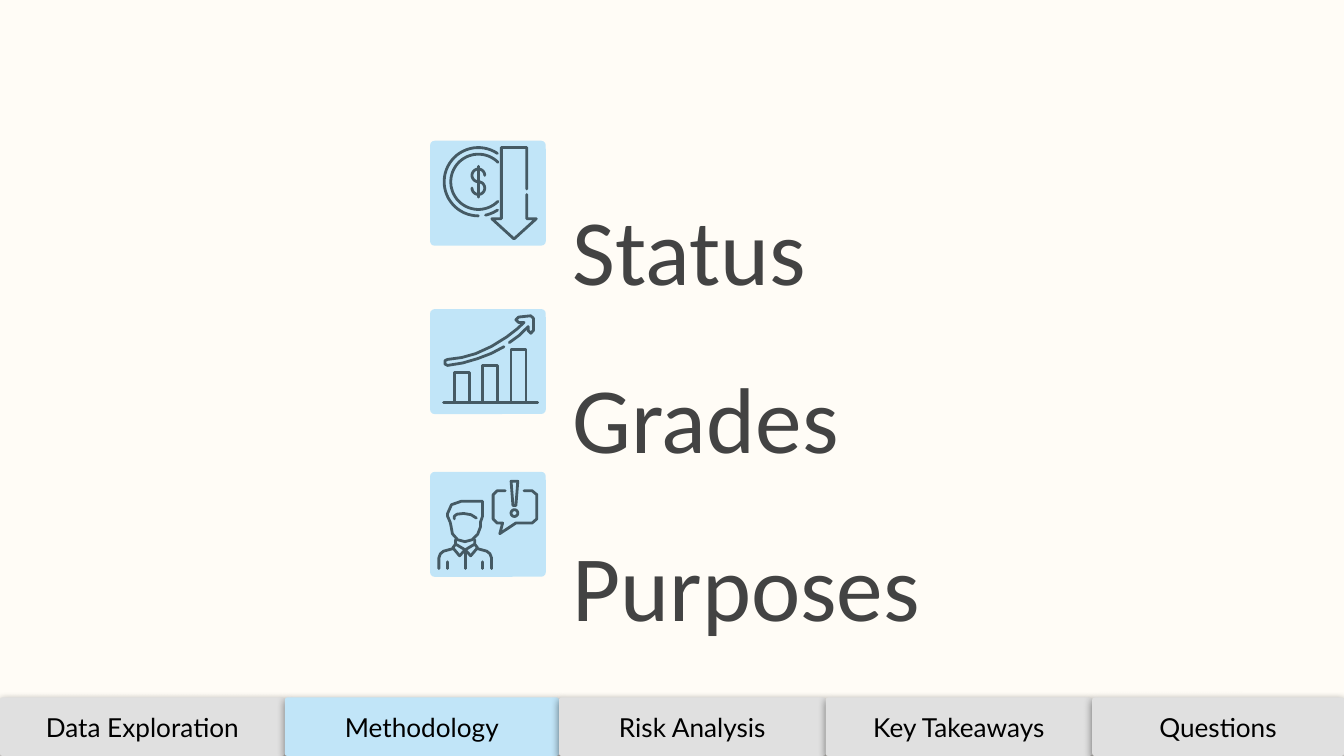
from dataclasses import dataclass
from math import cos, radians, sin

from lxml.etree import SubElement
from pptx import Presentation
from pptx.dml.color import RGBColor
from pptx.enum.shapes import MSO_CONNECTOR as Connector, MSO_SHAPE as Shape
from pptx.enum.text import MSO_ANCHOR as Anchor, MSO_AUTO_SIZE as AutoSize, PP_ALIGN as Align
from pptx.oxml import parse_xml
from pptx.oxml.ns import nsdecls, qn
from pptx.util import Pt

COLORS = {
    "background": "FFFCF6",
    "blue": "C1E5F8",
    "gray": "E0E0E0",
    "ink": "455A64",
    "heading": "434343",
    "label": "000000",
}
SLIDE_WIDTH, SLIDE_HEIGHT = 720, 405
TAB_TOP, TAB_HEIGHT = 373.7, 31.3
TILE_LEFT, TILE_WIDTH, TILE_HEIGHT = 230.4, 62, 56.2
CORNER = 0.043
STROKE_WIDTH = 1.5

Points = list[tuple[float, float]]


@dataclass
class Stroke:
    points: Points
    closed: bool = False


@dataclass
class Icon:
    top: float
    strokes: list[Stroke]


@dataclass
class Tab:
    label: str
    left: float
    fill: str = "gray"


def color(name: str) -> RGBColor:
    return RGBColor.from_string(COLORS[name])


def arc(x: float, y: float, radius: float, start: int, end: int) -> Points:
    """Points along an arc; angles are in degrees, clockwise from the right."""
    steps = max(6, abs(end - start) // 6)
    angles = [radians(start + (end - start) * i / steps) for i in range(steps + 1)]
    return [(x + radius * cos(a), y + radius * sin(a)) for a in angles]


def bar(left: float, top: float) -> Stroke:
    return Stroke([(left, 50), (left, top), (left + 8, top), (left + 8, 50)])


def with_mirror(points: Points, axis: float) -> list[Stroke]:
    return [Stroke(points), Stroke([(2 * axis - x, y) for x, y in points])]


def coin_strokes() -> list[Stroke]:
    x, y = 25.9, 22
    return [
        Stroke(arc(x, y, 18.3, -56, -270)),
        Stroke(arc(x, y, 18.3, 78, 56)),
        Stroke(arc(x, y, 14.8, -45, -315)),
        Stroke(arc(x, y - 3.4, 3.4, 0, -270) + arc(x, y + 3.4, 3.4, -90, 180)),
        Stroke([(x, 13.7), (x, 30.2)]),
        Stroke([(51.8, 25.9), (51.8, 3.6), (38.2, 3.6), (38.2, 41.8), (33.1, 41.8),
                (45, 52.6), (56.9, 41.8), (51.8, 41.8), (51.8, 28.8)]),
    ]


def growth_strokes() -> list[Stroke]:
    bars = [bar(13 + 15.2 * i, top) for i, top in enumerate((33.8, 30.2, 21.6))]
    arrow = [(39.6, 20.2), (32.8, 23.8), (25.4, 26.6), (17.5, 28.9), (9.4, 30.2),
             (8, 29.5), (8, 27.7), (9.4, 27), (17, 26), (24.5, 23.9), (33, 20),
             (41, 15), (46.5, 10.8), (50.4, 7.2), (47.5, 7.2), (46, 5.8),
             (47.5, 4.3), (54, 3.6), (55.4, 5), (55.4, 11.5), (54, 13),
             (52.6, 11.5), (52.6, 9.4), (48, 14), (42.5, 18)]
    return [Stroke([(7.2, 50), (57.6, 50)]), *bars, Stroke(arrow)]


def adviser_strokes() -> list[Stroke]:
    axis = 18.8
    head = [(28.1, 15.8), (28.1, 23.8), (27, 27), (27, 29.5), (25.5, 33.5),
            (22.5, 36.4), (18.7, 37.4), (14.8, 36.4), (12, 33.2), (11.2, 28.8),
            (10.8, 27), (9.4, 23.8), (9.4, 22.3), (11.5, 17.6), (16.6, 15.8)]
    fringe = [(13, 25.2), (13, 23.8), (14.4, 22.7), (18, 22.3), (22, 23), (24.8, 24.8)]
    shoulder = [(4.7, 51.8), (4.7, 46.1), (5.5, 43.9), (7.2, 42.5), (12.6, 41)]
    collar = [(13.7, 36.4), (13.7, 38.7), (12.2, 40.7), (15.8, 45), (axis, 41.8), (13.7, 38.7)]
    bubble = [(40.3, 10.1), (36, 10.1), (33.8, 12.2), (33.8, 25.2), (36, 27.4),
              (38.9, 27.4), (37.4, 33.1), (46, 27.4), (54.7, 27.4), (57.2, 25.2),
              (57.2, 12.2), (54.7, 10.1), (50.4, 10.1)]
    return [
        Stroke(head, closed=True),
        Stroke(fringe),
        *with_mirror(shoulder, axis),
        *with_mirror(collar, axis),
        *with_mirror([(9.4, 48.2), (9.4, 51.8)], axis),
        Stroke([(axis, 41.8), (axis, 51.8)]),
        Stroke(bubble),
        Stroke([(43.4, 5), (47, 5), (46, 18), (44.4, 18)], closed=True),
        Stroke(arc(45.2, 22.1, 1.8, 0, 360), closed=True),
    ]


def add_rounded_box(slide, left: float, top: float, width: float, height: float, fill: str):
    shape = slide.shapes.add_shape(
        Shape.ROUNDED_RECTANGLE, Pt(left), Pt(top), Pt(width), Pt(height))
    shape.adjustments[0] = CORNER
    shape.fill.solid()
    shape.fill.fore_color.rgb = color(fill)
    shape.line.fill.background()
    shape.shadow.inherit = False
    return shape


def draw_stroke(slide, stroke: Stroke, left: float, top: float) -> None:
    points = [(Pt(left + x), Pt(top + y)) for x, y in stroke.points]
    if len(points) == 2:
        shape = slide.shapes.add_connector(Connector.STRAIGHT, *points[0], *points[1])
        SubElement(shape._element.spPr, qn("a:effectLst"))
    else:
        builder = slide.shapes.build_freeform(*points[0])
        builder.add_line_segments(points[1:], close=stroke.closed)
        shape = builder.convert_to_shape()
        shape.fill.background()
        shape.shadow.inherit = False
    shape.line.color.rgb = color("ink")
    shape.line.width = Pt(STROKE_WIDTH)
    shape.line._get_or_add_ln().set("cap", "rnd")


def draw_icon(slide, icon: Icon) -> None:
    add_rounded_box(slide, TILE_LEFT, icon.top, TILE_WIDTH, TILE_HEIGHT, "blue")
    for stroke in icon.strokes:
        draw_stroke(slide, stroke, TILE_LEFT, icon.top)


def draw_tab(slide, tab: Tab, right: float) -> None:
    shape = add_rounded_box(slide, tab.left, TAB_TOP, right - tab.left, TAB_HEIGHT, tab.fill)
    effects = shape._element.spPr.find(qn("a:effectLst"))
    effects.append(parse_xml(
        f'<a:outerShdw {nsdecls("a")} blurRad="{Pt(4.5)}" dist="{Pt(1.5)}" dir="5400000" '
        'algn="bl" rotWithShape="0"><a:srgbClr val="000000"><a:alpha val="50000"/>'
        '</a:srgbClr></a:outerShdw>'))
    frame = shape.text_frame
    frame.margin_left = frame.margin_right = frame.margin_top = frame.margin_bottom = Pt(7.2)
    frame.vertical_anchor = Anchor.MIDDLE
    paragraph = frame.paragraphs[0]
    paragraph.text = tab.label
    paragraph.alignment = Align.CENTER
    paragraph.font.name, paragraph.font.size = "Lato", Pt(14)
    paragraph.font.color.rgb = color("label")


def fill_topics(body, topics: list[str]) -> None:
    body.left, body.top, body.width, body.height = Pt(263.5), Pt(65.5), Pt(408.2), Pt(212.4)
    frame = body.text_frame
    frame.margin_left = frame.margin_right = frame.margin_top = frame.margin_bottom = Pt(7.2)
    frame.word_wrap, frame.auto_size = True, AutoSize.NONE
    frame.vertical_anchor = Anchor.TOP
    frame.text = "\n".join(topics)
    for paragraph in frame.paragraphs:
        properties = paragraph._p.get_or_add_pPr()
        properties.set("marL", str(Pt(36)))
        properties.set("indent", "0")
        SubElement(properties, qn("a:buNone"))
        paragraph.line_spacing = 1.5
        paragraph.space_before = Pt(0)
        paragraph.font.name, paragraph.font.size = "Calibri", Pt(50)
        paragraph.font.color.rgb = color("heading")


def main() -> None:
    presentation = Presentation()
    presentation.slide_width, presentation.slide_height = Pt(SLIDE_WIDTH), Pt(SLIDE_HEIGHT)
    slide = presentation.slides.add_slide(presentation.slide_layouts[1])
    slide.background.fill.solid()
    slide.background.fill.fore_color.rgb = color("background")
    title = slide.shapes.title._element
    title.getparent().remove(title)
    fill_topics(slide.placeholders[1], ["Status", "Grades", "Purposes"])
    for icon in (Icon(75.4, coin_strokes()), Icon(165.6, growth_strokes()),
                 Icon(252.8, adviser_strokes())):
        draw_icon(slide, icon)
    tabs = [Tab("Data Exploration", 0), Tab("Methodology", 152.6, "blue"),
            Tab("Risk Analysis", 299.5), Tab("Key Takeaways", 442.3), Tab("Questions", 585.1)]
    for tab, right in zip(tabs, [following.left for following in tabs[1:]] + [SLIDE_WIDTH]):
        draw_tab(slide, tab, right)
    presentation.save("out.pptx")


if __name__ == "__main__":
    main()
